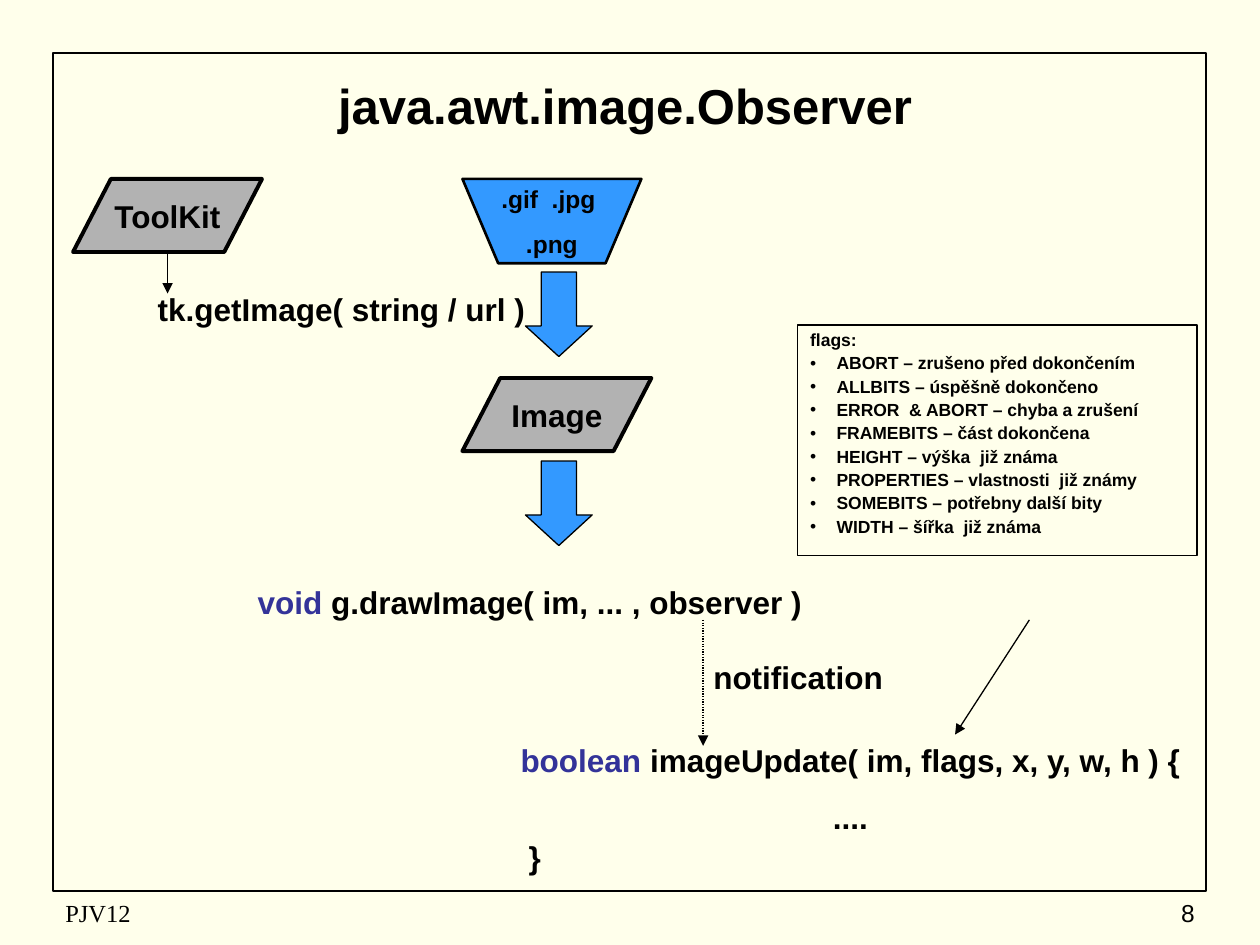
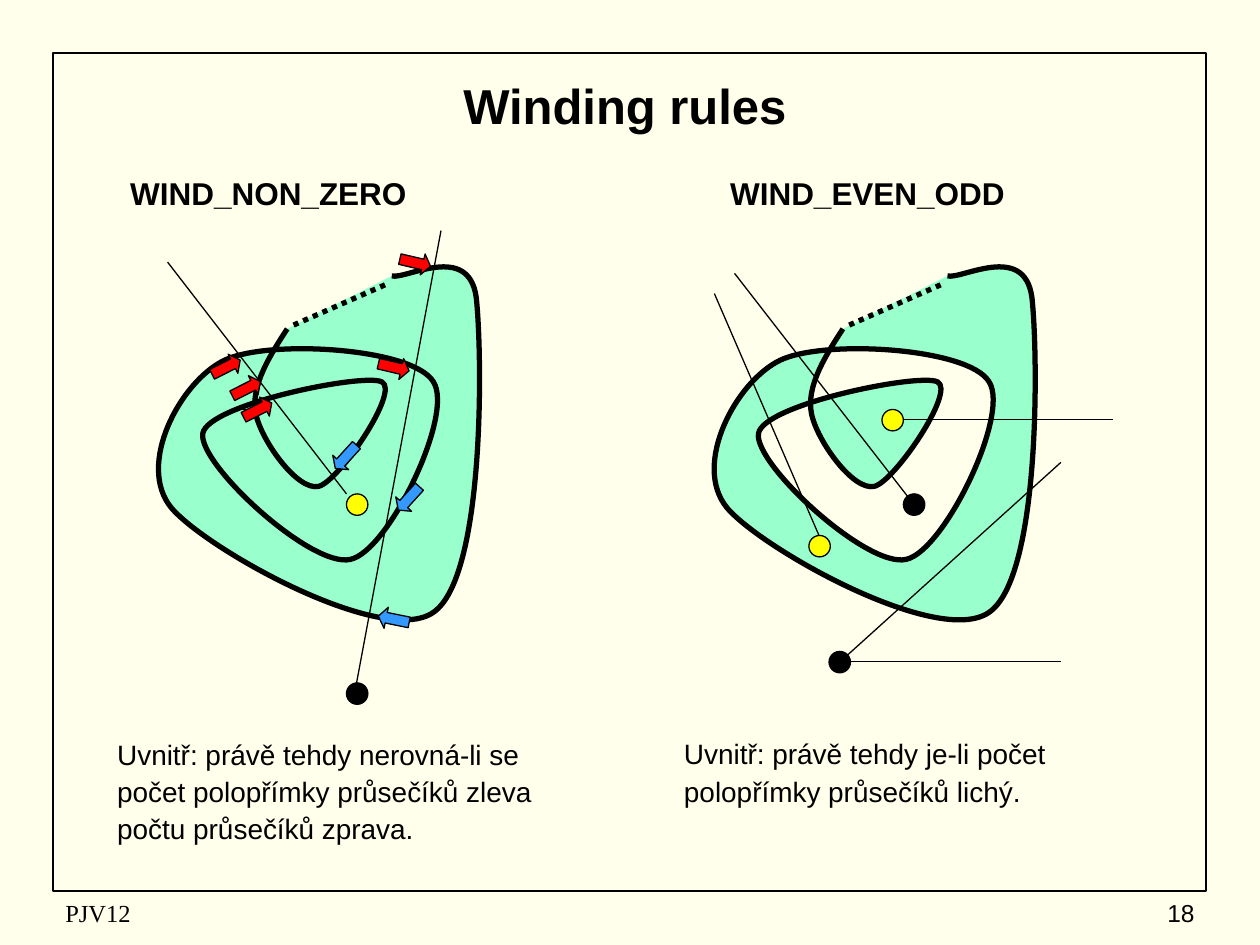
from dataclasses import dataclass
from itertools import chain
from typing import Optional

from lxml.etree import SubElement
from pptx import Presentation
from pptx.dml.color import RGBColor
from pptx.enum.dml import MSO_LINE
from pptx.enum.shapes import MSO_CONNECTOR, MSO_SHAPE as Preset
from pptx.enum.text import MSO_ANCHOR as Anchor, MSO_AUTO_SIZE, PP_ALIGN as Align
from pptx.oxml.ns import qn
from pptx.util import Inches, Pt

CREAM = RGBColor(0xFF, 0xFF, 0xEB)
BLACK = RGBColor(0, 0, 0)
BLUE = RGBColor(0x33, 0x99, 0xFF)
NAVY = RGBColor(0x33, 0x33, 0x99)
GREY = RGBColor(0xB2, 0xB2, 0xB2)
MINT = RGBColor(0x99, 0xFF, 0xCC)
RED = RGBColor(0xFF, 0, 0)
YELLOW = RGBColor(0xFF, 0xFF, 0)

HANGING = Inches(0.21)
DOT_SIZE = 0.17
RIGHT_OFFSET = 4.41

# Start point, then two control points and an end point for each curve.
SPIRAL_START = (2.28, 2.61)
SPIRAL_CURVES = [
    ((2.13, 2.84), (1.99, 3.07), (2.03, 3.28)),
    ((2.07, 3.49), (2.36, 3.9), (2.53, 3.86)),
    ((2.69, 3.82), (3.18, 3.1), (3.03, 3.03)),
    ((2.88, 2.96), (1.65, 3.21), (1.61, 3.44)),
    ((1.57, 3.68), (2.47, 4.51), (2.78, 4.44)),
    ((3.08, 4.38), (3.61, 3.29), (3.44, 3.03)),
    ((3.28, 2.76), (2.13, 2.69), (1.78, 2.86)),
    ((1.43, 3.03), (1.08, 3.69), (1.36, 4.03)),
    ((1.64, 4.36), (3.04, 5.14), (3.44, 4.86)),
    ((3.85, 4.58), (3.83, 2.81), (3.78, 2.36)),
    ((3.72, 1.92), (3.22, 2.22), (3.11, 2.19)),
]


@dataclass
class Box:
    """A preset shape; lengths in inches."""
    preset: Preset
    left: float
    top: float
    width: float
    height: float
    fill: Optional[RGBColor] = None
    line: RGBColor = BLACK
    line_width: float = 0.75
    rotation: float = 0
    adjustments: tuple = ()


@dataclass
class Line:
    x1: float
    y1: float
    x2: float
    y2: float
    width: float = 0.75
    arrow: bool = False
    dotted: bool = False
    fine_dots: bool = False


@dataclass
class Label:
    """A code label: each paragraph is a string or a list of (text, colour) runs."""
    left: float
    top: float
    width: float
    height: float
    paragraphs: list


def write_text(shape, paragraphs, *, size=18, bold=True, color=BLACK, font="Arial",
               align=Align.CENTER, anchor=Anchor.TOP, wrap=True, hanging=False,
               before=0.0, spacing=1.0, bullets_from=None) -> None:
    """Fill a shape; a paragraph is a string or a list of (text, colour) runs."""
    frame = shape.text_frame
    frame.auto_size = MSO_AUTO_SIZE.NONE
    frame.word_wrap = wrap
    frame.vertical_anchor = anchor
    frame.margin_left = frame.margin_right = Inches(0.1)
    frame.margin_top = frame.margin_bottom = Inches(0.05)
    for index, content in enumerate(paragraphs):
        paragraph = frame.add_paragraph() if index else frame.paragraphs[0]
        properties = paragraph._p.get_or_add_pPr()
        properties.set("marL", str(HANGING if hanging else 0))
        properties.set("indent", str(-HANGING if hanging else 0))
        if bullets_from is not None and index >= bullets_from:
            SubElement(properties, qn("a:buChar")).set("char", "•")
        else:
            SubElement(properties, qn("a:buNone"))
        paragraph.alignment = align
        paragraph.line_spacing = spacing
        paragraph.space_before = Pt(before if index else 0)
        runs = [(content, color)] if isinstance(content, str) else content
        for text, run_color in runs:
            run = paragraph.add_run()
            run.text = text
            run.font.name = font
            run.font.size = Pt(size)
            run.font.bold = bold
            run.font.color.rgb = run_color


def place(shape, left: float, top: float, width: float, height: float) -> None:
    shape.left, shape.top = Inches(left), Inches(top)
    shape.width, shape.height = Inches(width), Inches(height)


def add_text(slide, left: float, top: float, width: float, height: float,
             paragraphs: list, **text_format) -> None:
    shape = slide.shapes.add_textbox(Inches(left), Inches(top), Inches(width), Inches(height))
    write_text(shape, paragraphs, **text_format)


def add_label(slide, label: Label) -> None:
    add_text(slide, label.left, label.top, label.width, label.height,
             label.paragraphs, hanging=True, before=11.2)


def style_outline(shape, fill: Optional[RGBColor], line: RGBColor, width: float) -> None:
    shape.shadow.inherit = False
    if fill is None:
        shape.fill.background()
    else:
        shape.fill.solid()
        shape.fill.fore_color.rgb = fill
    shape.line.color.rgb = line
    shape.line.width = Pt(width)


def add_box(slide, box: Box):
    shape = slide.shapes.add_shape(box.preset, Inches(box.left), Inches(box.top),
                                   Inches(box.width), Inches(box.height))
    style_outline(shape, box.fill, box.line, box.line_width)
    shape.rotation = box.rotation
    for index, value in enumerate(box.adjustments):
        shape.adjustments[index] = value
    return shape


def add_line(slide, line: Line) -> None:
    connector = slide.shapes.add_connector(
        MSO_CONNECTOR.STRAIGHT, Inches(line.x1), Inches(line.y1),
        Inches(line.x2), Inches(line.y2))
    connector.line.color.rgb = BLACK
    connector.line.width = Pt(line.width)
    outline = connector.line._get_or_add_ln()
    if line.dotted:
        connector.line.dash_style = MSO_LINE.ROUND_DOT
    if line.fine_dots:
        dash = SubElement(SubElement(outline, qn("a:custDash")), qn("a:ds"))
        dash.set("d", "50000")
        dash.set("sp", "50000")
    if line.arrow:
        SubElement(outline, qn("a:tailEnd")).set("type", "triangle")
    SubElement(connector._element.spPr, qn("a:effectLst"))


def curve_segments(shape) -> None:
    """Turn every three straight segments of a freeform into one cubic curve."""
    outline = next(shape._element.iter(qn("a:path")))
    segments = outline.findall(qn("a:lnTo"))
    for first in range(0, len(segments), 3):
        curve = SubElement(outline, qn("a:cubicBezTo"))
        for segment in segments[first:first + 3]:
            curve.append(segment[0])
            outline.remove(segment)


def add_spiral(slide, offset: float) -> None:
    """Draw the self-crossing outline and the dotted line that closes it."""
    start, *points = [(Inches(x + offset), Inches(y))
                      for x, y in chain([SPIRAL_START], *SPIRAL_CURVES)]
    builder = slide.shapes.build_freeform(*start)
    builder.add_line_segments(points, close=False)
    spiral = builder.convert_to_shape()
    curve_segments(spiral)
    style_outline(spiral, MINT, BLACK, 3)
    add_line(slide, Line(2.33 + offset, 2.58, 3.08 + offset, 2.25, width=3, dotted=True))


def start_slide(presentation, title: str, number: str):
    """Add a slide with its title and footer; return it and its body."""
    slide = presentation.slides.add_slide(presentation.slide_layouts[1])
    place(slide.shapes.title, 0.5, 0.5, 8.92, 0.67)
    write_text(slide.shapes.title, [title], size=28, anchor=Anchor.MIDDLE)
    footer = dict(size=14, bold=False, anchor=Anchor.MIDDLE, wrap=False)
    add_text(slide, 0.42, 7.08, 3.17, 0.33, ["PJV12"], font="Times New Roman",
             align=Align.LEFT, **footer)
    add_text(slide, 7.5, 7.08, 2.08, 0.33, [number], align=Align.RIGHT, **footer)
    return slide, slide.placeholders[1]


def move_to_master(presentation, shape) -> None:
    element = shape._element
    element.nvSpPr.cNvPr.set("id", "20")
    presentation.slide_master.shapes._spTree.append(element)


def build_observer_slide(presentation) -> None:
    slide, flags = start_slide(presentation, "java.awt.image.Observer", "8")
    frame = add_box(slide, Box(Preset.RECTANGLE, 0.42, 0.42, 9.15, 6.65, line_width=1))
    move_to_master(presentation, frame)
    place(flags, 6.33, 2.58, 3.17, 1.83)
    flags.line.color.rgb = BLACK
    flags.line.width = Pt(0.75)
    write_text(flags, [
        "flags:",
        "ABORT – zrušeno před dokončením",
        "ALLBITS – úspěšně dokončeno",
        "ERROR  & ABORT – chyba a zrušení",
        "FRAMEBITS – část dokončena",
        "HEIGHT – výška  již známa",
        "PROPERTIES – vlastnosti  již známy",
        "SOMEBITS – potřebny další bity",
        "WIDTH – šířka  již známa",
    ], size=10, align=Align.LEFT, hanging=True, before=2.5, spacing=0.9, bullets_from=1)

    files = add_box(slide, Box(Preset.FLOWCHART_MANUAL_OPERATION, 3.67, 1.42, 1.42, 0.67,
                               BLUE, line_width=1.5))
    write_text(files, [".gif  .jpg ", ".png"], size=14, anchor=Anchor.MIDDLE,
               wrap=False, hanging=True, before=8.8)
    for text, left, top in (("ToolKit", 0.58, 1.42), ("Image", 3.67, 3)):
        class_box = add_box(slide, Box(Preset.FLOWCHART_DATA, left, top, 1.5, 0.58,
                                       GREY, line_width=2.25))
        write_text(class_box, [text], anchor=Anchor.MIDDLE, wrap=False)
    for top in (2.23, 3.73):
        add_box(slide, Box(Preset.RIGHT_ARROW, 4.1, top, 0.67, 0.53, BLUE,
                           rotation=90, adjustments=(0.529, 0.458)))

    for label in (
        Label(1, 2.25, 3.42, 0.4, ["tk.getImage( string / url )"]),
        Label(1.83, 4.58, 4.75, 0.4,
              [[("void", NAVY), (" g.drawImage( im, ... , observer )", BLACK)]]),
        Label(5.42, 5.17, 1.83, 0.4, ["notification"]),
        Label(4, 5.83, 5.5, 0.86,
              [[("boolean ", NAVY), ("imageUpdate( im, flags, x, y, w, h ) {", BLACK)],
               "...."]),
        Label(4.08, 6.6, 0.33, 0.4, ["}"]),
    ):
        add_label(slide, label)

    for line in (
        Line(1.33, 2, 1.33, 2.33, arrow=True),
        Line(5.58, 4.92, 5.58, 5.92, width=1.5, arrow=True, fine_dots=True),
        Line(8.17, 4.92, 7.58, 5.83, arrow=True),
    ):
        add_line(slide, line)


def build_winding_slide(presentation) -> None:
    slide, non_zero_rule = start_slide(presentation, "Winding rules", "18")
    # Backing that fills the holes of the left outline.
    for left, top, width, height, line in (
        (1.58, 3.08, 0.92, 1.08, MINT),
        (1.92, 2.83, 0.83, 0.42, BLACK),
        (2.17, 2.75, 1.42, 1.75, MINT),
    ):
        add_box(slide, Box(Preset.RECTANGLE, left, top, width, height, MINT, line))
    for offset in (0, RIGHT_OFFSET):
        add_spiral(slide, offset)

    for ray in (
        Line(2.75, 3.92, 1.33, 2.08),
        Line(2.83, 5.42, 3.5, 1.83),
        Line(7.25, 4, 5.83, 2.17),
        Line(8.83, 3.33, 7.17, 3.33),
        Line(8.42, 5.25, 6.75, 5.25),
        Line(8.42, 3.67, 6.67, 5.25),
        Line(6.5, 4.25, 5.67, 2.33),
    ):
        add_line(slide, ray)
    for left, top, rotation, color in (
        (3.17, 2, 13.1, RED),
        (3, 2.83, 13.1, RED),
        (1.67, 2.83, 333.1, RED),
        (1.83, 3, 333.1, RED),
        (1.92, 3.17, 333.1, RED),
        (3.12, 3.87, 132.2, BLUE),
        (2.62, 3.54, 132.2, BLUE),
        (3, 4.83, 191.5, BLUE),
    ):
        add_box(slide, Box(Preset.RIGHT_ARROW, left, top, 0.25, 0.17, color,
                           rotation=rotation, adjustments=(0.5, 0.375)))
    for left, top, color in (
        (2.75, 3.92, YELLOW), (2.75, 5.42, BLACK), (7.17, 3.92, BLACK),
        (7, 3.25, YELLOW), (6.58, 5.17, BLACK), (6.42, 4.25, YELLOW),
    ):
        add_box(slide, Box(Preset.FLOWCHART_CONNECTOR, left, top, DOT_SIZE, DOT_SIZE, color))

    add_label(slide, Label(0.92, 1.33, 2.42, 0.4, ["WIND_NON_ZERO"]))
    add_label(slide, Label(5.42, 1.33, 3, 0.4, ["WIND_EVEN_ODD "]))
    rule_format = dict(size=16, bold=False, align=Align.LEFT, hanging=True,
                       before=4, spacing=0.9)
    place(non_zero_rule, 0.83, 5.83, 3.58, 1)
    write_text(non_zero_rule, ["Uvnitř: právě tehdy nerovná-li se",
                               "počet polopřímky průsečíků zleva",
                               "počtu průsečíků zprava."], **rule_format)
    add_text(slide, 5.33, 5.83, 3.58, 1, ["Uvnitř: právě tehdy je-li počet",
                                          "polopřímky průsečíků lichý."], **rule_format)


def main() -> None:
    presentation = Presentation()
    presentation.slide_width, presentation.slide_height = Inches(10), Inches(7.5)
    background = presentation.slide_master.background.fill
    background.solid()
    background.fore_color.rgb = CREAM
    build_observer_slide(presentation)
    build_winding_slide(presentation)
    presentation.save("out.pptx")


if __name__ == "__main__":
    main()
